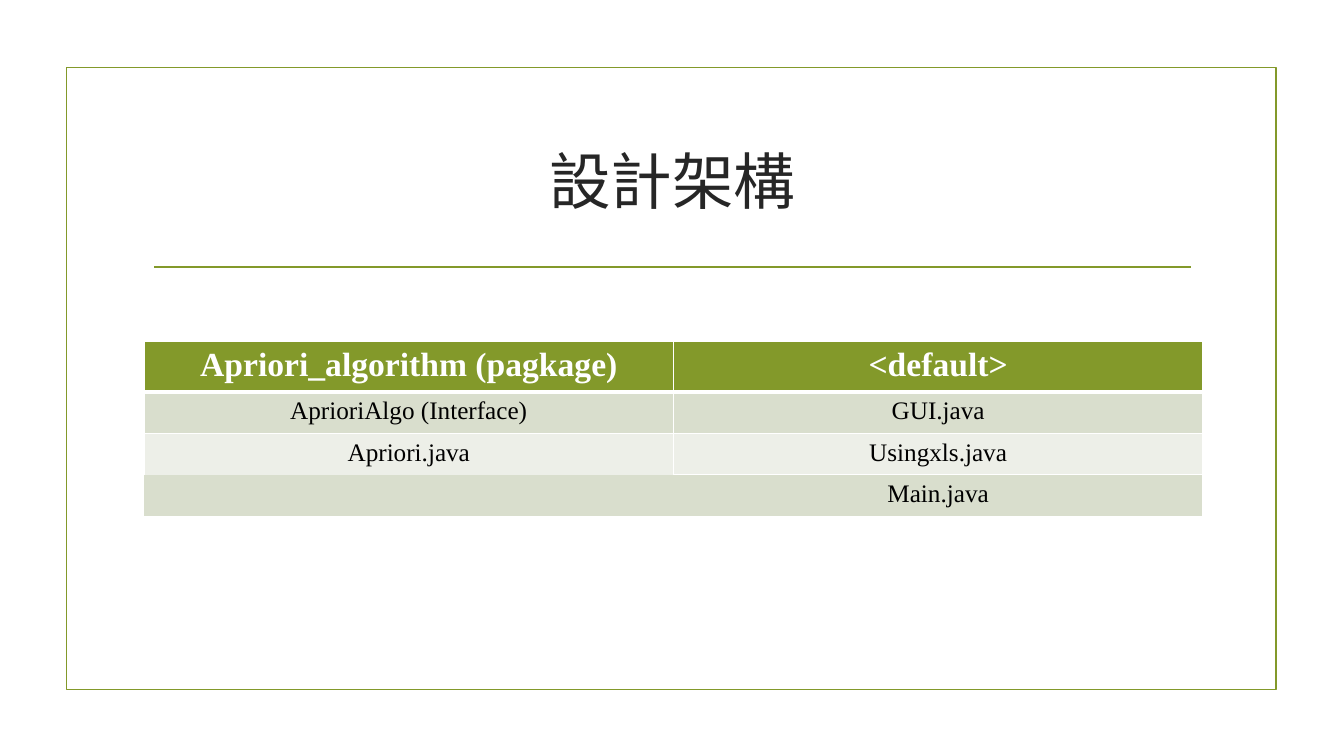
from dataclasses import dataclass

from lxml.etree import SubElement
from pptx import Presentation
from pptx.dml.color import RGBColor
from pptx.enum.shapes import MSO_CONNECTOR, MSO_SHAPE
from pptx.enum.text import MSO_ANCHOR, PP_ALIGN
from pptx.oxml.ns import qn
from pptx.util import Inches, Pt


@dataclass(frozen=True)
class Theme:
    """Colours, type sizes and line widths of the slide."""
    font: str = "Times New Roman"
    green: str = "83992A"
    title: str = "262626"
    white: str = "FFFFFF"
    black: str = "000000"
    bands: tuple = ("D9DECD", "EDEFE8")
    title_size: int = 44
    head_size: int = 24
    body_size: int = 18
    rule: float = 1.25
    grid: int = 1
    head_rule: int = 3


THEME = Theme()
ROWS = [
    ("Apriori_algorithm (pagkage)", "<default>"),
    ("AprioriAlgo (Interface)", "GUI.java"),
    ("Apriori.java", "Usingxls.java"),
    ("", "Main.java"),
]


def rgb(color):
    """Turn a hex string into a colour."""
    return RGBColor.from_string(color)


def write(tf, text, size, color, bold=False):
    """Set one centred paragraph of text."""
    tf.text = text
    p = tf.paragraphs[0]
    p.alignment = PP_ALIGN.CENTER
    for r in p.runs:
        r.font.name = THEME.font
        r.font.size = Pt(size)
        r.font.bold = bold
        r.font.color.rgb = rgb(color)


def add_frame(s):
    """Draw the green outline around the slide."""
    sp = s.shapes.add_shape(MSO_SHAPE.RECTANGLE, Inches(0.66), Inches(0.67),
                            Inches(12), Inches(6.17))
    sp.shadow.inherit = False
    sp.fill.background()
    sp.line.color.rgb = rgb(THEME.green)
    sp.line.width = Pt(THEME.rule)


def add_rule(s):
    """Draw the line under the title."""
    line = s.shapes.add_connector(MSO_CONNECTOR.STRAIGHT, Inches(1.53),
                                  Inches(2.65), Inches(11.81), Inches(2.65))
    line.line.color.rgb = rgb(THEME.green)
    line.line.width = Pt(THEME.rule)
    SubElement(line._element.spPr, qn("a:effectLst"))


def add_title(s, text):
    """Add the centred title."""
    tf = s.shapes.add_textbox(Inches(1.42), Inches(1.07), Inches(10.5),
                              Inches(1.43)).text_frame
    tf.word_wrap = True
    tf.vertical_anchor = MSO_ANCHOR.MIDDLE
    write(tf, text, THEME.title_size, THEME.title)


def set_border(cell, side, width):
    """Give one side of a cell a white border, or none at zero width."""
    ln = SubElement(cell._tc.get_or_add_tcPr(), qn(f"a:ln{side}"),
                    w=str(Pt(width)))
    if width:
        fill = SubElement(ln, qn("a:solidFill"))
        SubElement(fill, qn("a:srgbClr"), val=THEME.white)
    else:
        SubElement(ln, qn("a:noFill"))


def border_width(row, col, side):
    """Return the border width, leaving edges of an empty cell bare."""
    dr, dc = {"L": (0, -1), "R": (0, 1), "T": (-1, 0), "B": (1, 0)}[side]
    near = (row + dr, col + dc)
    inside = 0 <= near[0] < len(ROWS) and 0 <= near[1] < len(ROWS[0])
    if not ROWS[row][col] or inside and not ROWS[near[0]][near[1]]:
        return 0
    if (row, side) in ((0, "B"), (1, "T")):
        return THEME.head_rule
    return THEME.grid


def add_file_table(s):
    """Add the table of packages and their files."""
    table = s.shapes.add_table(len(ROWS), len(ROWS[0]), Inches(1.43),
                               Inches(3.39), Inches(10.5),
                               Inches(1.64)).table
    for i, row in enumerate(ROWS):
        head = i == 0
        table.rows[i].height = Inches(0.41)
        for j, text in enumerate(row):
            cell = table.cell(i, j)
            if head:
                write(cell.text_frame, text, THEME.head_size, THEME.white, True)
            else:
                write(cell.text_frame, text, THEME.body_size, THEME.black)
            for side in "LRTB":
                set_border(cell, side, border_width(i, j, side))
            cell.fill.solid()
            cell.fill.fore_color.rgb = rgb(
                THEME.green if head else THEME.bands[(i - 1) % 2])


def main():
    """Build and save the slide."""
    prs = Presentation()
    prs.slide_width, prs.slide_height = Inches(13.33), Inches(7.5)
    s = prs.slides.add_slide(prs.slide_layouts[6])
    add_frame(s)
    add_rule(s)
    add_title(s, "設計架構")
    add_file_table(s)
    prs.save("out.pptx")


if __name__ == "__main__":
    main()
